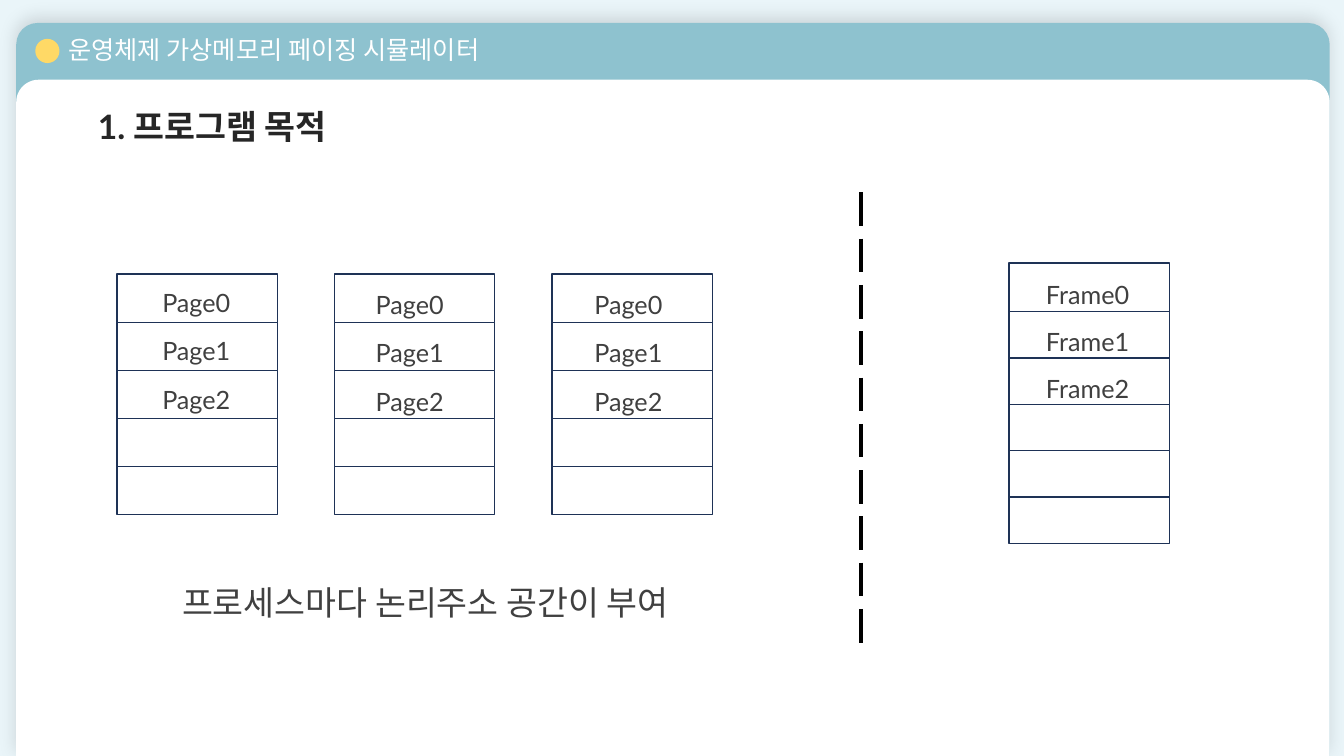
from lxml import etree
from pptx import Presentation
from pptx.dml.color import RGBColor
from pptx.enum.dml import MSO_LINE_DASH_STYLE as Dash
from pptx.enum.shapes import MSO_CONNECTOR as Connector, MSO_SHAPE as Shape
from pptx.enum.text import MSO_ANCHOR as Anchor, MSO_AUTO_SIZE as AutoSize, PP_ALIGN as Align
from pptx.oxml.ns import qn
from pptx.util import Cm, Pt

COLORS = {
    "background": "EAF5F9",
    "band": "8EC2CF",
    "paper": "FFFFFF",
    "dot": "FFD966",
    "heading": "262626",
    "text": "404040",
    "border": "1E3256",
    "divider": "000000",
    "shadow": "000000",
}
FONT = "Lato"
CELL_WIDTH, CELL_HEIGHT = 4.04, 1.22


def color(name):
    return RGBColor.from_string(COLORS[name])


def add_panel(slide, kind, box, fill, border=None, corner=None):
    """Add a flat preset shape; box is left, top, width, height in cm."""
    panel = slide.shapes.add_shape(kind, *map(Cm, box))
    panel.shadow.inherit = False
    panel.fill.solid()
    panel.fill.fore_color.rgb = color(fill)
    if border:
        panel.line.color.rgb = color(border)
        panel.line.width = Pt(1)
    else:
        panel.line.fill.background()
    if corner is not None:
        panel.adjustments[0] = corner
    return panel


def cast_shadow(panel):
    """Add a soft shadow that falls upwards."""
    effects = panel.element.spPr.find(qn("a:effectLst"))
    outer = etree.SubElement(
        effects, qn("a:outerShdw"), blurRad=str(Pt(12)), dist=str(Pt(3)),
        dir="16200000", algn="b", rotWithShape="0")
    tint = etree.SubElement(outer, qn("a:srgbClr"), val=COLORS["shadow"])
    etree.SubElement(tint, qn("a:alpha"), val="12000")


def write(holder, text, size, ink, bold=False, spacing=1.0):
    frame = holder.text_frame
    frame.text = text
    frame.word_wrap = True
    frame.auto_size = AutoSize.SHAPE_TO_FIT_TEXT
    frame.vertical_anchor = Anchor.TOP
    paragraph = frame.paragraphs[0]
    paragraph.alignment = Align.LEFT
    paragraph.line_spacing = spacing
    font = paragraph.runs[0].font
    font.name, font.size, font.bold = FONT, Pt(size), bold
    font.color.rgb = color(ink)


def add_text(slide, box, text, size, ink, spacing=1.0):
    write(slide.shapes.add_textbox(*map(Cm, box)), text, size, ink, spacing=spacing)


def add_heading(slide, box, text):
    """Place the title placeholder in front of the background panels."""
    heading = slide.shapes.title
    heading.left, heading.top, heading.width, heading.height = map(Cm, box)
    write(heading, text, 24, "heading", bold=True)
    heading.element.getparent().append(heading.element)


def add_memory(slide, left, top, pitch, rows):
    """Stack empty memory cells from the bottom up."""
    for row in reversed(range(rows)):
        add_panel(slide, Shape.RECTANGLE,
                  (left, top + row * pitch, CELL_WIDTH, CELL_HEIGHT), "paper", "border")


def add_labels(slide, left, top, pitch, width, prefix):
    for number in range(3):
        add_text(slide, (left, top + number * pitch, width, 1.3),
                 f"{prefix}{number}", 18, "text", spacing=1.5)


def add_divider(slide, x, top, bottom):
    divider = slide.shapes.add_connector(Connector.STRAIGHT, Cm(x), Cm(top), Cm(x), Cm(bottom))
    divider.line.color.rgb = color("divider")
    divider.line.width = Pt(3)
    divider.line.dash_style = Dash.LONG_DASH
    etree.SubElement(divider.element.spPr, qn("a:effectLst"))


def main():
    deck = Presentation()
    deck.slide_width, deck.slide_height = Cm(33.87), Cm(19.05)
    slide = deck.slides.add_slide(deck.slide_layouts.get_by_name("Title Only"))
    slide.background.fill.solid()
    slide.background.fill.fore_color.rgb = color("background")

    band = add_panel(slide, Shape.ROUND_2_SAME_RECTANGLE, (0.41, 0.58, 33.1, 18.47),
                     "band", corner=0.029)
    cast_shadow(band)
    add_panel(slide, Shape.ROUND_2_SAME_RECTANGLE, (0.41, 2.01, 33.1, 17.04),
              "paper", corner=0.033)
    add_panel(slide, Shape.OVAL, (0.89, 0.98, 0.61, 0.61), "dot")
    add_text(slide, (1.47, 0.74, 16.97, 1.02), "운영체제 가상메모리 페이징 시뮬레이터", 18, "paper")
    add_heading(slide, (2.21, 2.54, 17.12, 1.3), "1. 프로그램 목적")

    page_labels = [(3.84, 6.73), (9.22, 6.78), (14.73, 6.78)]
    for process, (label_left, label_top) in enumerate(page_labels):
        add_memory(slide, 2.95 + process * 5.48, 6.91, 1.21, rows=5)
        add_labels(slide, label_left, label_top, 1.22, 2.46, "Page")

    add_memory(slide, 25.43, 6.63, 1.17, rows=6)
    add_labels(slide, 26.11, 6.53, 1.18, 2.82, "Frame")

    add_divider(slide, 21.69, 4.85, 16.28)
    add_text(slide, (4.34, 14.02, 12.85, 1.65), "프로세스마다 논리주소 공간이 부여", 24, "text", spacing=1.5)

    deck.save("out.pptx")


if __name__ == "__main__":
    main()
